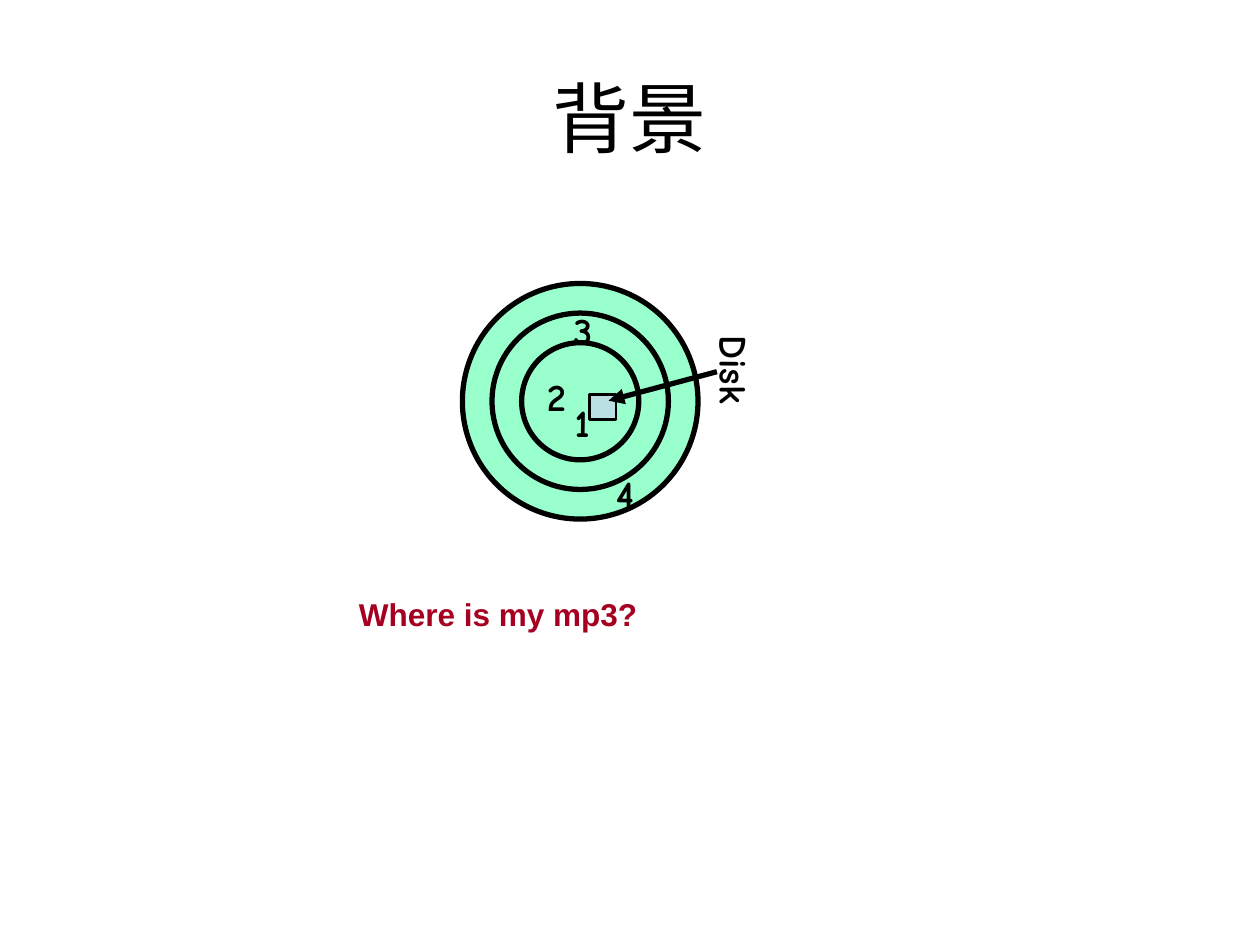
from pptx import Presentation
from pptx.dml.color import RGBColor
from pptx.enum.shapes import MSO_CONNECTOR, MSO_SHAPE
from pptx.enum.text import MSO_ANCHOR, PP_ALIGN
from pptx.oxml.ns import qn
from pptx.util import Inches, Pt
from lxml import etree

OVAL, RECT = MSO_SHAPE.OVAL, MSO_SHAPE.RECTANGLE
LINE = MSO_CONNECTOR.STRAIGHT
CENTER, LEFT = PP_ALIGN.CENTER, PP_ALIGN.LEFT
MIDDLE = MSO_ANCHOR.MIDDLE

INK = {name: RGBColor.from_string(code) for name, code in {
    "black": "000000", "mint": "99FFCC", "block": "BBE0E3", "red": "A50021",
}.items()}

deck = Presentation()
deck.slide_width, deck.slide_height = Inches(10), Inches(7.5)
COL, ROW = deck.slide_width / 100, deck.slide_height / 75


def grid(x, y, w, h):
    """Turn columns and rows into a left, top, width and height."""
    return int(x * COL), int(y * ROW), int(w * COL), int(h * ROW)


def style(frame, text, size, face, color, bold, align):
    frame.text = text
    para = frame.paragraphs[0]
    para.alignment = align
    font = para.runs[0].font
    font.size, font.name, font.bold = Pt(size), face, bold
    font.color.rgb = INK[color]
    return para


slide = deck.slides.add_slide(deck.slide_layouts[5])
title = slide.shapes.title
title.left, title.top, title.width, title.height = grid(5, 3, 90, 12.5)
title.text_frame.vertical_anchor = MIDDLE
style(title.text_frame, "背景", 44, "Arial", "black", False, CENTER)

# Disk: concentric tracks around one centre, then the marked block
disk = slide.shapes.add_group_shape().shapes
mid_x, mid_y = 46.05, 31.85
parts = [(OVAL, (mid_x - d / 2, mid_y - d / 2, d, d), "mint", 3)
         for d in (18.7, 14, 9.3)]
parts.append((RECT, (46.8, 31.3, 2.1, 2), "block", 1.5))
for kind, place, fill, width in parts:
    part = disk.add_shape(kind, *grid(*place))
    part.shadow.inherit = False
    part.fill.solid()
    part.fill.fore_color.rgb = INK[fill]
    part.line.color.rgb = INK["black"]
    part.line.width = Pt(width)

# Labels: text, left column, top row, width, turn
for text, x, y, w, turn in [
    ("1", 42.1, 31.9, 8.2, 0),
    ("4", 45.4, 37.5, 8.4, 0),
    ("2", 39.9, 29.8, 8.5, 0),
    ("Disk", 51.8, 27.4, 12.4, 90),
    ("3", 42, 24.6, 8.5, 0),
]:
    label = disk.add_textbox(*grid(x, y, w, 3.9))
    label.rotation = turn
    label.text_frame.word_wrap = False
    para = style(label.text_frame, text, 22, "Comic Neue", "black", True, CENTER)
    para.line_spacing = 0.8

x1, y1, x2, y2 = grid(56.9, 29.5, 48.3, 31.8)
arrow = disk.add_connector(LINE, x1, y1, x2, y2)
arrow.line.color.rgb = INK["black"]
arrow.line.width = Pt(3)
etree.SubElement(arrow.line._get_or_add_ln(), qn("a:tailEnd"), type="triangle")
etree.SubElement(arrow._element.spPr, qn("a:effectLst"))

ask = slide.shapes.add_textbox(*grid(27.5, 46.7, 36.8, 4))
ask.text_frame.word_wrap = True
style(ask.text_frame, "Where is my mp3?", 18, "Arial", "red", True, LEFT)

deck.save("out.pptx")
